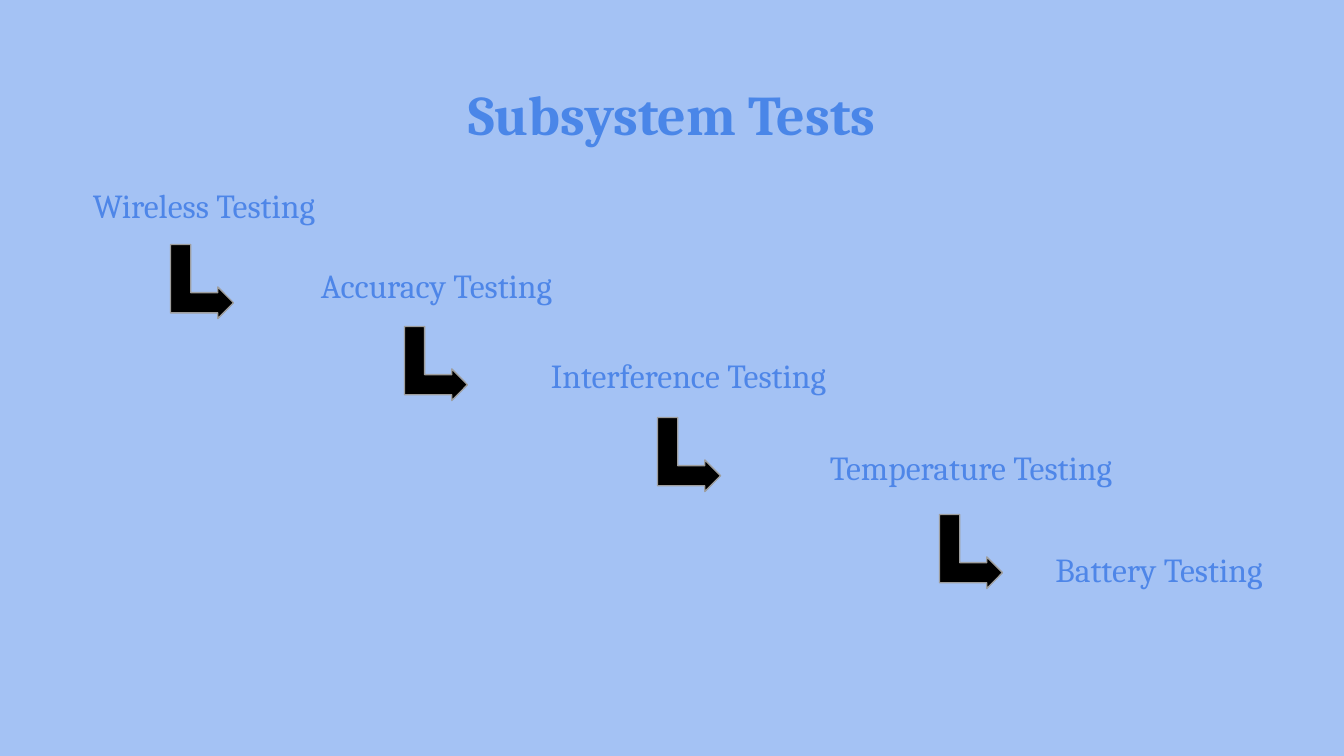
from pptx import Presentation
from pptx.dml.color import RGBColor
from pptx.enum.shapes import MSO_SHAPE
from pptx.enum.text import MSO_ANCHOR, PP_ALIGN
from pptx.util import Pt

PX = 914400 / 134.4
CENTER = PP_ALIGN.CENTER
TOP = MSO_ANCHOR.TOP
BENT_ARROW = MSO_SHAPE.BENT_UP_ARROW

COLORS = {
    "background": "A4C2F4",
    "title": "4A86E8",
    "stage": "4E86E8",
    "arrow": "000000",
    "outline": "9E9E9E",
}
TITLE_FONT = {"name": "Cambria", "size": Pt(30), "bold": True}
STAGE_FONT = {"name": "Cambria", "size": Pt(18), "bold": False}
ARROW_SIZE = (74, 63)

STAGES = [
    ("Wireless Testing", (65, 171, 278, 52), (100, 79)),
    ("Accuracy Testing", (288, 251, 297, 63), (111, 81)),
    ("Interference Testing", (516, 341, 345, 63), (136, 82)),
    ("Temperature Testing", (782, 433, 378, 52), (152, 87)),
    ("Battery Testing", (1020, 535, 278, 52), None),
]


def emu(*lengths):
    return [round(length * PX) for length in lengths]


def color(name):
    return RGBColor.from_string(COLORS[name])


def add_label(slide, box, wording, font_format, color_name):
    label = slide.shapes.add_textbox(*emu(*box))
    frame = label.text_frame
    inset = round(13.44 * PX)
    frame_format = {
        "word_wrap": True,
        "vertical_anchor": TOP,
        "margin_left": inset,
        "margin_top": inset,
        "margin_right": inset,
        "margin_bottom": inset,
    }
    for attribute, value in frame_format.items():
        setattr(frame, attribute, value)
    paragraph = frame.paragraphs[0]
    paragraph.alignment = CENTER
    run = paragraph.add_run()
    run.text = wording
    for attribute, value in font_format.items():
        setattr(run.font, attribute, value)
    run.font.color.rgb = color(color_name)


def add_step_arrow(slide, left, top):
    arrow = slide.shapes.add_shape(BENT_ARROW, *emu(left, top, *ARROW_SIZE))
    arrow.rotation = 90
    arrow.adjustments[0] = 0.32
    arrow.shadow.inherit = False
    arrow.fill.solid()
    arrow.fill.fore_color.rgb = color("arrow")
    arrow.line.color.rgb = color("outline")
    arrow.line.width = Pt(0.75)


def add_stage(slide, box, wording, arrow_offset):
    add_label(slide, box, wording, STAGE_FONT, "stage")
    if arrow_offset:
        left, top = box[:2]
        add_step_arrow(slide, left + arrow_offset[0], top + arrow_offset[1])


def main():
    presentation = Presentation()
    presentation.slide_width, presentation.slide_height = emu(1344, 756)
    slide = presentation.slides.add_slide(presentation.slide_layouts[6])
    slide.background.fill.solid()
    slide.background.fill.fore_color.rgb = color("background")

    add_label(slide, (46, 66, 1252, 85), "Subsystem Tests", TITLE_FONT, "title")
    for wording, box, arrow_offset in STAGES:
        add_stage(slide, box, wording, arrow_offset)

    presentation.save("out.pptx")


if __name__ == "__main__":
    main()
